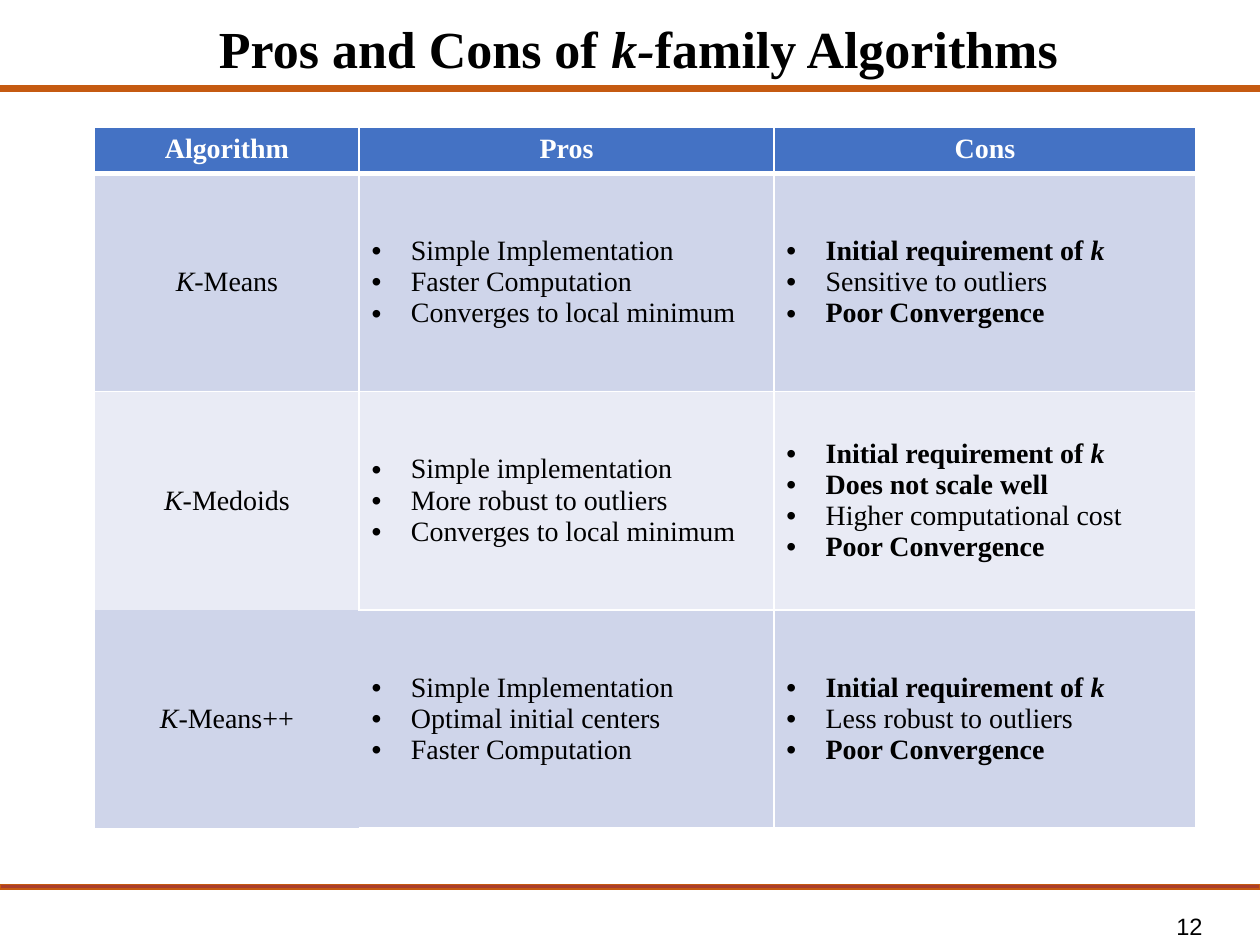
"""Build the slide on pros and cons of k-family algorithms."""
from dataclasses import dataclass

from lxml.etree import SubElement
from pptx import Presentation
from pptx.dml.color import RGBColor
from pptx.enum.shapes import MSO_SHAPE
from pptx.enum.text import MSO_ANCHOR, MSO_AUTO_SIZE, PP_ALIGN
from pptx.oxml import parse_xml
from pptx.oxml.ns import nsdecls, qn
from pptx.util import Cm, Pt

HUES = {"ink": "000000", "paper": "FFFFFF", "rust": "C55A11", "brick": "AA3E2C",
        "head": "4472C4", "dark": "CFD5EA", "light": "E9EBF5"}
SERIF = "Times New Roman"
COLS = (5.33, 8.36, 8.51)
ROWS = (0.88, 4.4, 4.4, 4.4)
INDENT = Cm(0.79)


@dataclass
class Run:
    text: str
    bold: bool = False
    ital: bool = False


@dataclass
class Bar:
    top: float
    fill: str


@dataclass
class Method:
    name: str
    pros: list[list[Run]]
    cons: list[list[Run]]


def plain(*texts: str) -> list[list[Run]]:
    return [[Run(text)] for text in texts]


NEED = [Run("Initial requirement of ", True), Run("k", True, True)]
POOR = [Run("Poor Convergence", True)]
BARS = [Bar(17.83, "brick"), Bar(1.73, "rust")]
METHODS = [
    Method("-Means",
           plain("Simple Implementation", "Faster Computation", "Converges to local minimum"),
           [NEED, [Run("Sensitive to outliers")], POOR]),
    Method("-Medoids",
           plain("Simple implementation", "More robust to outliers", "Converges to local minimum"),
           [NEED, [Run("Does not scale well", True)], [Run("Higher computational cost")], POOR]),
    Method("-Means++",
           plain("Simple Implementation", "Optimal initial centers", "Faster Computation"),
           [NEED, [Run("Less robust to outliers")], POOR]),
]


def color(name: str) -> RGBColor:
    return RGBColor.from_string(HUES[name])


def write(para, runs: list[Run], size: float, hue: str = "ink", face: str = SERIF) -> None:
    for item in runs:
        run = para.add_run()
        run.text = item.text
        font = run.font
        font.name, font.size = face, Pt(size)
        font.bold, font.italic = item.bold, item.ital
        font.color.rgb = color(hue)


def bullet(para) -> None:
    props = para._p.get_or_add_pPr()
    props.set("marL", str(INDENT))
    props.set("indent", str(-INDENT))
    SubElement(props, qn("a:buFont")).set("typeface", "Arial")
    SubElement(props, qn("a:buChar")).set("char", "•")


def edge(cell, widths: dict[str, float]) -> None:
    props = cell._tc.get_or_add_tcPr()
    for spot, side in enumerate("LRTB"):
        width = widths[side]
        paint = f'<a:solidFill><a:srgbClr val="{HUES["paper"]}"/></a:solidFill>' if width else "<a:noFill/>"
        props.insert(spot, parse_xml(
            f'<a:ln{side} {nsdecls("a")} w="{Pt(width)}">{paint}</a:ln{side}>'))


def fill(cell, paras: list[list[Run]], back: str, hue: str = "ink", listed: bool = False) -> None:
    cell.fill.solid()
    cell.fill.fore_color.rgb = color(back)
    frame = cell.text_frame
    for spot, runs in enumerate(paras):
        para = frame.add_paragraph() if spot else frame.paragraphs[0]
        if listed:
            bullet(para)
        else:
            para.alignment = PP_ALIGN.CENTER
        write(para, runs, 16, hue)


def draw_bar(slide, bar: Bar) -> None:
    shape = slide.shapes.add_shape(MSO_SHAPE.RECTANGLE, 0, Cm(bar.top), Cm(25.4), Cm(0.1))
    shape.shadow.inherit = False
    shape.fill.solid()
    shape.fill.fore_color.rgb = color(bar.fill)
    shape.line.color.rgb = color("rust")
    shape.line.width = Pt(1)


def draw_title(slide) -> None:
    title = slide.shapes.title
    title.left, title.top, title.width, title.height = Cm(3.35), Cm(-0.71), Cm(19.05), Cm(2.44)
    frame = title.text_frame
    frame.auto_size = MSO_AUTO_SIZE.NONE
    frame.vertical_anchor = MSO_ANCHOR.BOTTOM
    para = frame.paragraphs[0]
    para.alignment, para.line_spacing = PP_ALIGN.CENTER, 0.9
    write(para, [Run("Pros and Cons of ", True), Run("k-", True, True),
                 Run("family Algorithms", True)], 29.7)


def draw_page(slide) -> None:
    box = slide.shapes.add_textbox(Cm(18.77), Cm(18.29), Cm(5.72), Cm(0.76))
    frame = box.text_frame
    frame.word_wrap = True
    frame.vertical_anchor = MSO_ANCHOR.MIDDLE
    para = frame.paragraphs[0]
    para.alignment = PP_ALIGN.RIGHT
    write(para, [Run("12")], 13.5, face="Arial")


def draw_table(slide) -> None:
    table = slide.shapes.add_table(len(ROWS), len(COLS), Cm(1.91), Cm(2.56),
                                   Cm(sum(COLS)), Cm(sum(ROWS))).table
    for col, width in zip(table.columns, COLS):
        col.width = Cm(width)
    for row, height in zip(table.rows, ROWS):
        row.height = Cm(height)
    for col, text in enumerate(("Algorithm", "Pros", "Cons")):
        cell = table.cell(0, col)
        fill(cell, [[Run(text, True)]], "head", "paper")
        edge(cell, {"L": 1, "R": 1, "T": 1, "B": 3})
    last = len(METHODS)
    for row, item in enumerate(METHODS, 1):
        back = "dark" if row % 2 else "light"
        name = [[Run("K", ital=True), Run(item.name)]]
        for col, paras in enumerate((name, item.pros, item.cons)):
            cell = table.cell(row, col)
            cell.vertical_anchor = MSO_ANCHOR.MIDDLE
            fill(cell, paras, back, listed=col > 0)
            sides = {"L": 1, "R": 1, "T": 3 if row == 1 else 1, "B": 1}
            if row == last and col == 0:
                sides = dict.fromkeys("LRTB", 0)
            elif row == last and col == 1:
                sides["L"] = 0
            elif row == last - 1 and col == 0:
                sides["B"] = 0
            edge(cell, sides)


def main() -> None:
    deck = Presentation()
    deck.slide_width, deck.slide_height = Cm(25.4), Cm(19.05)
    slide = deck.slides.add_slide(deck.slide_layouts[5])
    draw_page(slide)
    for bar in BARS:
        draw_bar(slide, bar)
    draw_title(slide)
    draw_table(slide)
    deck.save("out.pptx")


if __name__ == "__main__":
    main()
